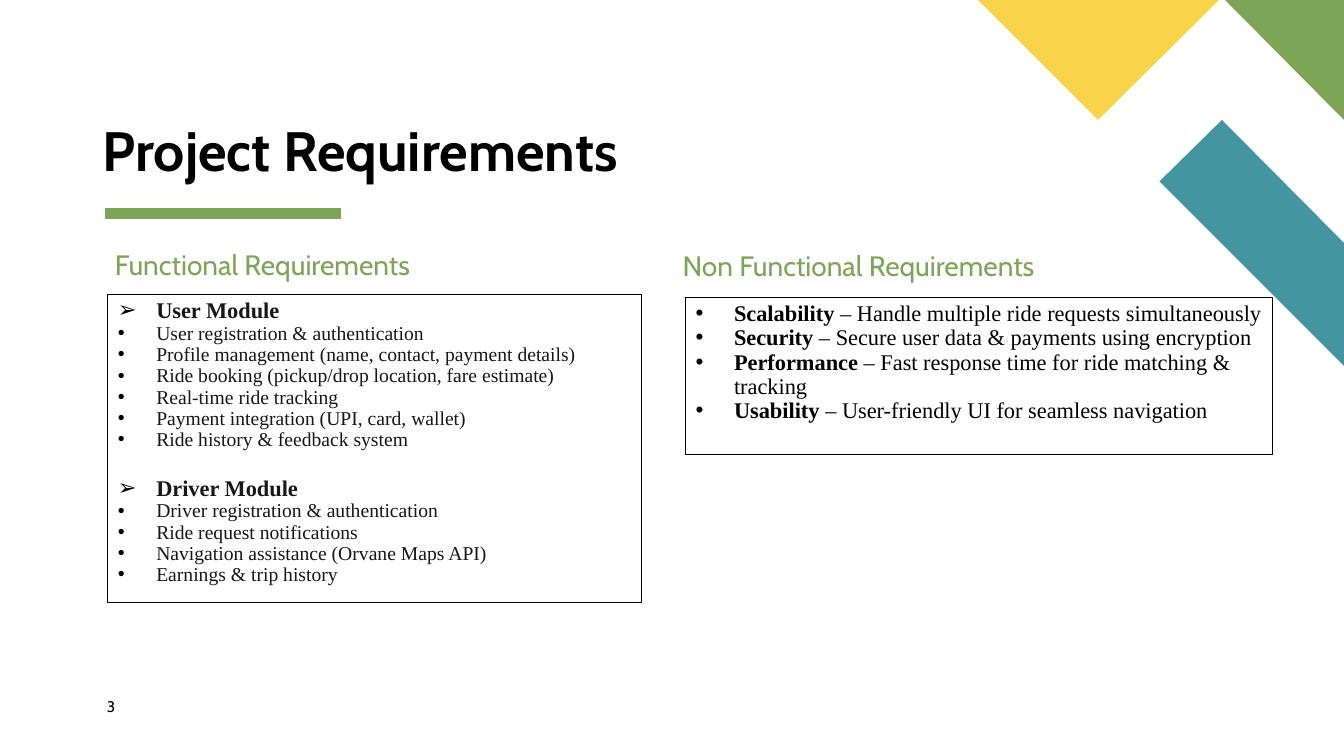
from lxml import etree
from pptx import Presentation
from pptx.dml.color import RGBColor
from pptx.enum.shapes import MSO_CONNECTOR
from pptx.enum.text import MSO_ANCHOR, MSO_AUTO_SIZE, PP_ALIGN
from pptx.oxml.ns import qn
from pptx.util import Inches, Pt

STRAIGHT = MSO_CONNECTOR.STRAIGHT
TOP, BOTTOM = MSO_ANCHOR.TOP, MSO_ANCHOR.BOTTOM
FIXED = MSO_AUTO_SIZE.NONE
LEFT = PP_ALIGN.LEFT

THEME = {
    "green": RGBColor(0x7C, 0xA6, 0x55),
    "teal": RGBColor(0x44, 0x95, 0xA2),
    "yellow": RGBColor(0xF9, 0xD4, 0x48),
    "black": RGBColor(0, 0, 0),
    "ink": RGBColor(0x17, 0x17, 0x17),
    "head": "Cabin",
    "body": "Times New Roman",
    "title": 39.6,
    "sub": 20,
    "group": 16,
    "item": 14,
    "page": 11,
}


def setup(shape, box, anchor=TOP, inset=(0.1, 0.05)):
    """Place a text shape and return its emptied frame."""
    shape.left, shape.top, shape.width, shape.height = map(Inches, box)
    frame = shape.text_frame
    side, edge = map(Inches, inset)
    form = {"word_wrap": True, "auto_size": FIXED, "vertical_anchor": anchor,
            "margin_left": side, "margin_right": side,
            "margin_top": edge, "margin_bottom": edge}
    for name, value in form.items():
        setattr(frame, name, value)
    return frame


def write(para, runs, face, size, color, gap=0, mark=None):
    """Fill a paragraph with (text, bold) runs and an optional bullet."""
    form = {"alignment": LEFT, "line_spacing": 0.9,
            "space_before": Pt(gap), "space_after": Pt(0)}
    for name, value in form.items():
        setattr(para, name, value)
    for text, bold in runs:
        run = para.add_run()
        run.text = text
        form = {"name": THEME[face], "size": Pt(THEME[size]), "bold": bold}
        for name, value in form.items():
            setattr(run.font, name, value)
        run.font.color.rgb = THEME[color]
    if mark:
        props = para._p.get_or_add_pPr()
        props.set("marL", str(Inches(0.38)))
        props.set("indent", str(Inches(-0.38)))
        tint = etree.SubElement(props, qn("a:buClr"))
        etree.SubElement(tint, qn("a:srgbClr"), val=str(THEME["black"]))
        etree.SubElement(props, qn("a:buFont"), typeface="Arial")
        etree.SubElement(props, qn("a:buChar"), char=mark)


deck = Presentation()
deck.slide_width, deck.slide_height = Inches(13.33), Inches(7.5)
slide = deck.slides.add_slide(deck.slide_layouts.get_by_name("Comparison"))
shapes = slide.shapes
title, left_head, left_list, right_head, right_list = slide.placeholders

# Corner shapes
corner = [
    ("teal", [(13.33, 3.63), (13.33, 2.41), (12.12, 1.19), (11.5, 1.8)]),
    ("green", [(13.33, 1.19), (13.33, 0), (12.15, 0)]),
    ("yellow", [(9.7, 0), (10.89, 1.19), (12.09, 0)]),
]
for color, points in corner:
    first, *rest = [(Inches(x), Inches(y)) for x, y in points]
    pen = shapes.build_freeform(*first)
    pen.add_line_segments(rest, close=True)
    patch = pen.convert_to_shape()
    patch.shadow.inherit = False
    patch.fill.solid()
    patch.fill.fore_color.rgb = THEME[color]
    patch.line.fill.background()

# Title and its rule
frame = setup(title, (1.02, 1.35, 6.32, 0.47), BOTTOM, (0, 0))
write(frame.paragraphs[0], [("Project Requirements", True)],
      "head", "title", "black")
rule = shapes.add_connector(STRAIGHT, Inches(1.04), Inches(2.12),
                            Inches(3.38), Inches(2.12))
rule.line.color.rgb = THEME["green"]
rule.line.width = Pt(8)
etree.SubElement(rule._element.spPr, qn("a:effectLst"))

# Column headings
heads = [
    (left_head, (1.04, 2.44, 5.29, 0.47), "Functional Requirements"),
    (right_head, (6.67, 2.45, 5.62, 0.5), "Non Functional Requirements"),
]
for shape, box, text in heads:
    write(setup(shape, box).paragraphs[0], [(text, False)],
          "head", "sub", "green")

# Framed lists
modules = {
    "User Module": [
        "User registration & authentication",
        "Profile management (name, contact, payment details)",
        "Ride booking (pickup/drop location, fare estimate)",
        "Real-time ride tracking",
        "Payment integration (UPI, card, wallet)",
        "Ride history & feedback system",
    ],
    "Driver Module": [
        "Driver registration & authentication",
        "Ride request notifications",
        "Navigation assistance (Orvane Maps API)",
        "Earnings & trip history",
    ],
}
traits = {
    "Scalability": "Handle multiple ride requests simultaneously",
    "Security": "Secure user data & payments using encryption",
    "Performance": "Fast response time for ride matching & tracking",
    "Usability": "User-friendly UI for seamless navigation",
}
left_rows, right_rows = [], []
for name, items in modules.items():
    gap = 18.6 if left_rows else 0
    left_rows.append(([(name, True)], "group", "ink", gap, "➢"))
    for item in items:
        left_rows.append(([(item, False)], "item", "ink", 0, "•"))
for name, text in traits.items():
    runs = [(name, True), (f" – {text}", False)]
    right_rows.append((runs, "group", "black", 0, "•"))

lists = [
    (left_list, (1.07, 2.92, 5.29, 3.06), left_rows),
    (right_list, (6.8, 2.95, 5.82, 1.56), right_rows),
]
for shape, box, rows in lists:
    frame = setup(shape, box)
    shape.line.color.rgb = THEME["black"]
    shape.line.width = Pt(0.75)
    for i, (runs, size, color, gap, mark) in enumerate(rows):
        para = frame.add_paragraph() if i else frame.paragraphs[0]
        write(para, runs, "body", size, color, gap, mark)

# Page number
box = (1.06, 6.92, 0.57, 0.27)
page = shapes.add_textbox(*map(Inches, box))
frame = setup(page, box, inset=(0, 0))
write(frame.paragraphs[0], [("3", False)], "head", "page", "black")
frame.paragraphs[0].line_spacing = 1.0

deck.save("out.pptx")
